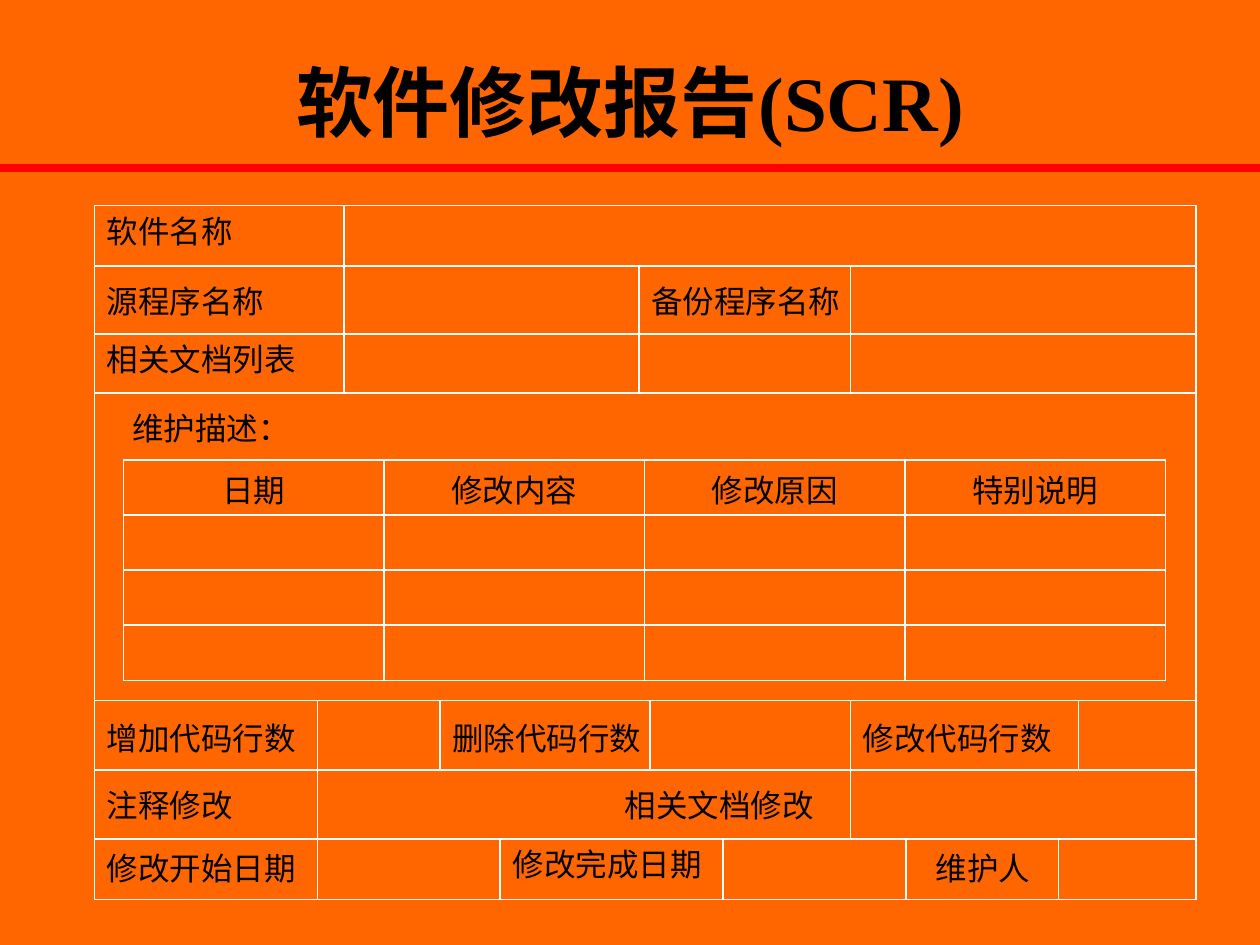
from dataclasses import dataclass

import pptx
import pptx.dml.color
import pptx.enum.shapes
import pptx.enum.text
import pptx.oxml
import pptx.oxml.ns
import pptx.util
from pptx.util import Inches


@dataclass(frozen=True)
class Theme:
    background: str = "FF6600"
    text: str = "000000"
    grid: str = "FFFFFF"
    accent: str = "FF0000"
    font: str = "Times New Roman"
    description_font: str = "Arial"
    title_size: float = 44
    body_size: float = 18
    grid_width: float = 1
    rule_width: float = 4.5


THEME = Theme()
CENTER = pptx.enum.text.PP_ALIGN.CENTER

FORM_LEFT, FORM_RIGHT = 0.75, 9.49
FORM_ROWS = [1.63, 2.11, 2.65, 3.12, 5.56, 6.11, 6.66, 7.14]
# Column dividers: x position, first and last row boundary
FORM_DIVIDERS = [
    (FORM_LEFT, 0, 7), (FORM_RIGHT, 0, 7),
    (2.73, 0, 3), (5.07, 1, 3), (6.75, 1, 3),
    (2.52, 4, 7), (3.49, 4, 5), (5.16, 4, 5), (6.75, 4, 6), (8.56, 4, 5),
    (3.97, 6, 7), (5.74, 6, 7), (7.19, 6, 7), (8.4, 6, 7),
]
# Labels: text, left, top, width, height
FORM_LABELS = [
    ("软件名称", 0.75, 1.63, 1.98, 0.48),
    ("源程序名称", 0.75, 2.19, 1.98, 0.38),
    ("备份程序名称", 5.07, 2.19, 1.8, 0.38),
    ("相关文档列表", 0.75, 2.65, 1.98, 0.48),
    ("增加代码行数", 0.75, 5.66, 1.77, 0.45),
    ("删除代码行数", 3.49, 5.66, 1.83, 0.38),
    ("修改代码行数", 6.75, 5.66, 1.81, 0.38),
    ("注释修改", 0.75, 6.19, 1.77, 0.4),
    ("相关文档修改", 4.86, 6.19, 1.89, 0.4),
    ("修改开始日期", 0.75, 6.69, 1.77, 0.39),
    ("修改完成日期", 3.97, 6.66, 1.85, 0.33),
    ("维护人", 7.33, 6.69, 1.07, 0.31),
]
CHANGE_HEADERS = ["日期", "修改内容", "修改原因", "特别说明"]
CHANGE_ROWS = 4


def rgb(value):
    return pptx.dml.color.RGBColor.from_string(value)


def add_run(paragraph, text, size=THEME.body_size, font=THEME.font, bold=False):
    run = paragraph.add_run()
    run.text = text
    run.font.size = pptx.util.Pt(size)
    run.font.name = font
    run.font.bold = bold
    run.font.color.rgb = rgb(THEME.text)


def add_label(slide, text, left, top, width, height, wrap=True, **style):
    box = slide.shapes.add_textbox(
        Inches(left), Inches(top), Inches(width), Inches(height))
    box.text_frame.word_wrap = wrap
    add_run(box.text_frame.paragraphs[0], text, **style)
    return box


def add_line(slide, start, end, color=THEME.grid, width=THEME.grid_width):
    line = slide.shapes.add_connector(
        pptx.enum.shapes.MSO_CONNECTOR.STRAIGHT,
        *(Inches(value) for value in (*start, *end)))
    line.line.color.rgb = rgb(color)
    line.line.width = pptx.util.Pt(width)
    line._element.spPr.append(pptx.oxml.parse_xml(
        f'<a:effectLst {pptx.oxml.ns.nsdecls("a")}/>'))


def set_borders(cell):
    """Draw all four cell sides; borders must precede the fill in tcPr."""
    properties = cell._tc.get_or_add_tcPr()
    for index, side in enumerate(("lnL", "lnR", "lnT", "lnB")):
        properties.insert(index, pptx.oxml.parse_xml(
            f'<a:{side} {pptx.oxml.ns.nsdecls("a")} '
            f'w="{pptx.util.Pt(THEME.grid_width)}"><a:solidFill>'
            f'<a:srgbClr val="{THEME.grid}"/></a:solidFill></a:{side}>'))


def add_title(slide):
    title = add_label(slide, "软件修改报告(SCR)", 0.75, 0.17, 8.5, 1.25,
                      size=THEME.title_size, bold=True)
    title.text_frame.vertical_anchor = pptx.enum.text.MSO_ANCHOR.MIDDLE
    title.text_frame.paragraphs[0].alignment = CENTER
    add_line(slide, (0, 1.33), (10, 1.33), THEME.accent, THEME.rule_width)


def add_form(slide):
    for y in FORM_ROWS:
        add_line(slide, (FORM_LEFT, y), (FORM_RIGHT, y))
    for x, first, last in FORM_DIVIDERS:
        add_line(slide, (x, FORM_ROWS[first]), (x, FORM_ROWS[last]))
    for label in FORM_LABELS:
        add_label(slide, *label)


def add_change_table(slide):
    add_label(slide, "维护描述：", 0.95, 3.2, 1.45, 0.4, wrap=False,
              font=THEME.description_font)
    table = slide.shapes.add_table(
        CHANGE_ROWS, len(CHANGE_HEADERS),
        Inches(0.98), Inches(3.65), Inches(8.27), Inches(1.75)).table
    table.first_row = False
    table.horz_banding = False
    for cell in table.iter_cells():
        cell.fill.background()
        cell.margin_bottom = 0
        set_borders(cell)
    for column, header in enumerate(CHANGE_HEADERS):
        paragraph = table.cell(0, column).text_frame.paragraphs[0]
        paragraph.alignment = CENTER
        add_run(paragraph, header)


def main():
    presentation = pptx.Presentation()
    presentation.slide_width = Inches(10)
    presentation.slide_height = Inches(7.5)
    slide = presentation.slides.add_slide(presentation.slide_layouts[6])
    slide.background.fill.solid()
    slide.background.fill.fore_color.rgb = rgb(THEME.background)
    add_form(slide)
    add_change_table(slide)
    add_title(slide)
    presentation.save("out.pptx")


if __name__ == "__main__":
    main()
